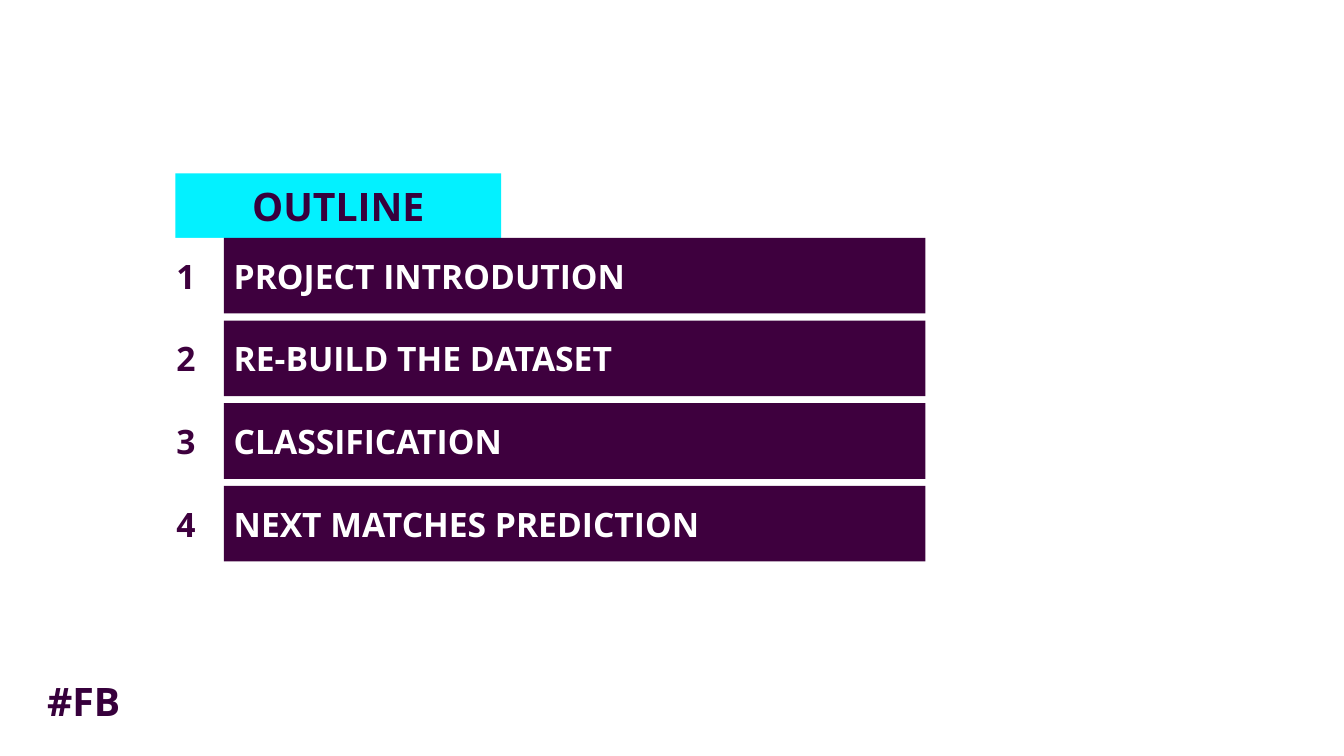
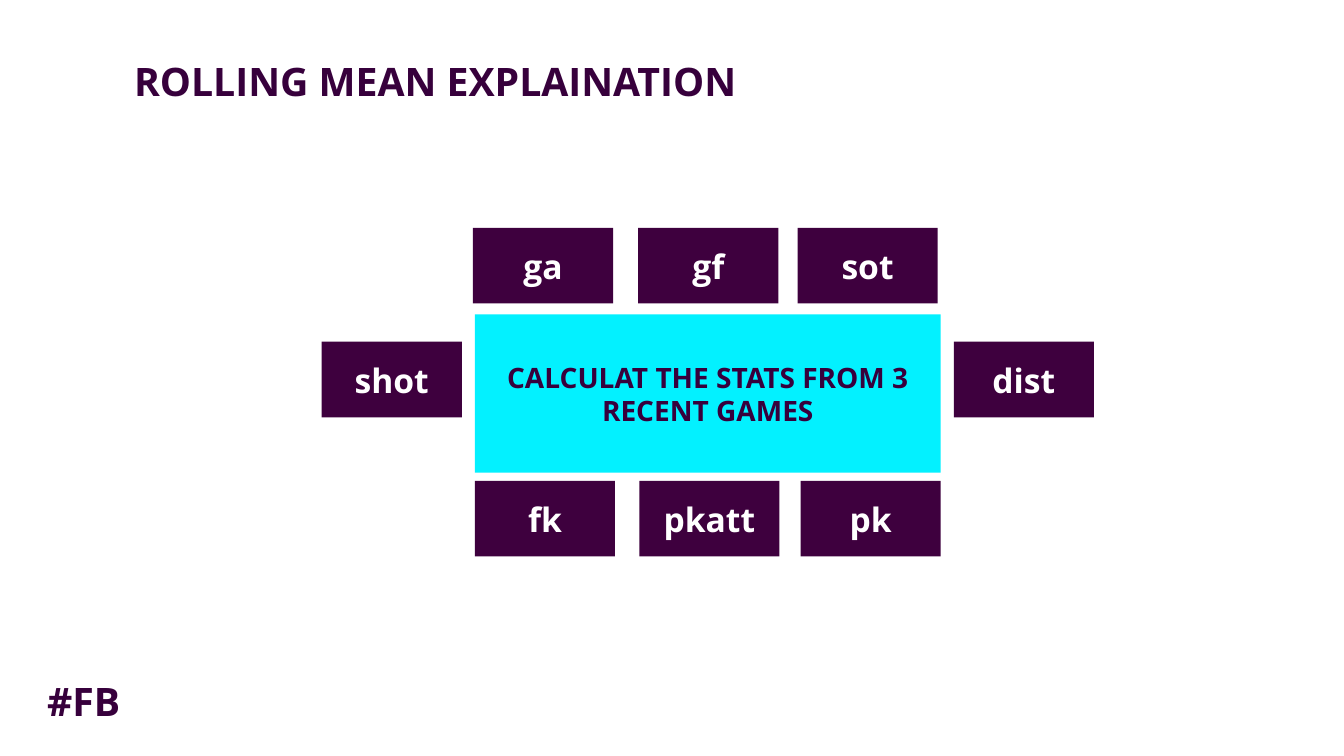
"""Build the outline and rolling mean slides."""
from pptx import Presentation
from pptx.dml.color import RGBColor
from pptx.enum.shapes import MSO_SHAPE
from pptx.enum.text import MSO_ANCHOR, MSO_AUTO_SIZE, PP_ALIGN
from pptx.util import Inches, Pt

FONT = "Open Sans"
INK, PLUM, CYAN, WHITE = "37003C", "3E003E", "03F1FF", "FFFFFF"
LEFT, MID = PP_ALIGN.LEFT, PP_ALIGN.CENTER
TALL = 0.75


def style(shape, place, text, size, color, fill=None, align=MID):
    shape.left, shape.top, shape.width, shape.height = map(Inches, place)
    if fill:
        shape.fill.solid()
        shape.fill.fore_color.rgb = RGBColor.from_string(fill)
    frame = shape.text_frame
    frame.text = text
    frame.word_wrap = True
    frame.auto_size = MSO_AUTO_SIZE.NONE
    frame.vertical_anchor = MSO_ANCHOR.MIDDLE
    para = frame.paragraphs[0]
    para.alignment = align
    font = para.runs[0].font
    font.name, font.size, font.bold = FONT, Pt(size), True
    font.color.rgb = RGBColor.from_string(color)


def block(slide, place, text, size, color, fill, align=MID):
    shape = slide.shapes.add_shape(MSO_SHAPE.RECTANGLE, 0, 0, 0, 0)
    shape.shadow.inherit = False
    shape.line.fill.background()
    style(shape, place, text, size, color, fill, align)


deck = Presentation()
deck.slide_width, deck.slide_height = Inches(13.33), Inches(7.5)

heads = [
    ("OUTLINE", (1.74, 1.72, 3.23, 0.64), CYAN, MID),
    ("ROLLING MEAN EXPLAINATION", (1.23, 0.52, 6.84, 0.57), None, LEFT),
]
slides = []
for text, place, fill, align in heads:
    slide = deck.slides.add_slide(deck.slide_layouts[5])
    style(slide.shapes.title, place, text, 28, INK, fill, align)
    tag = slide.shapes.add_textbox(0, 0, 0, 0)
    style(tag, (0.37, 6.67, 1.1, 0.57), "#FB", 28, INK, align=LEFT)
    slides.append(slide)
first, second = slides

topics = [
    "PROJECT INTRODUTION",
    "RE-BUILD THE DATASET",
    "CLASSIFICATION",
    "NEXT MATCHES PREDICTION",
]
for row, topic in enumerate(topics):
    top = 2.36 + row * 0.82
    block(first, (1.47, top, TALL, TALL), str(row + 1), 24, PLUM, WHITE)
    block(first, (2.22, top, 6.96, TALL), topic, 24, WHITE, PLUM, LEFT)

stats = [
    (2.26, [("ga", 4.69), ("gf", 6.33), ("sot", 7.91)]),
    (3.39, [("shot", 3.19), ("dist", 9.46)]),
    (4.77, [("fk", 4.71), ("pkatt", 6.34), ("pk", 7.94)]),
]
for top, row in stats:
    for name, left in row:
        block(second, (left, top, 1.39, TALL), name, 24, WHITE, PLUM)
block(second, (4.71, 3.12, 4.62, 1.57),
      "CALCULAT THE STATS FROM 3 RECENT GAMES", 20, INK, CYAN)

deck.save("out.pptx")
